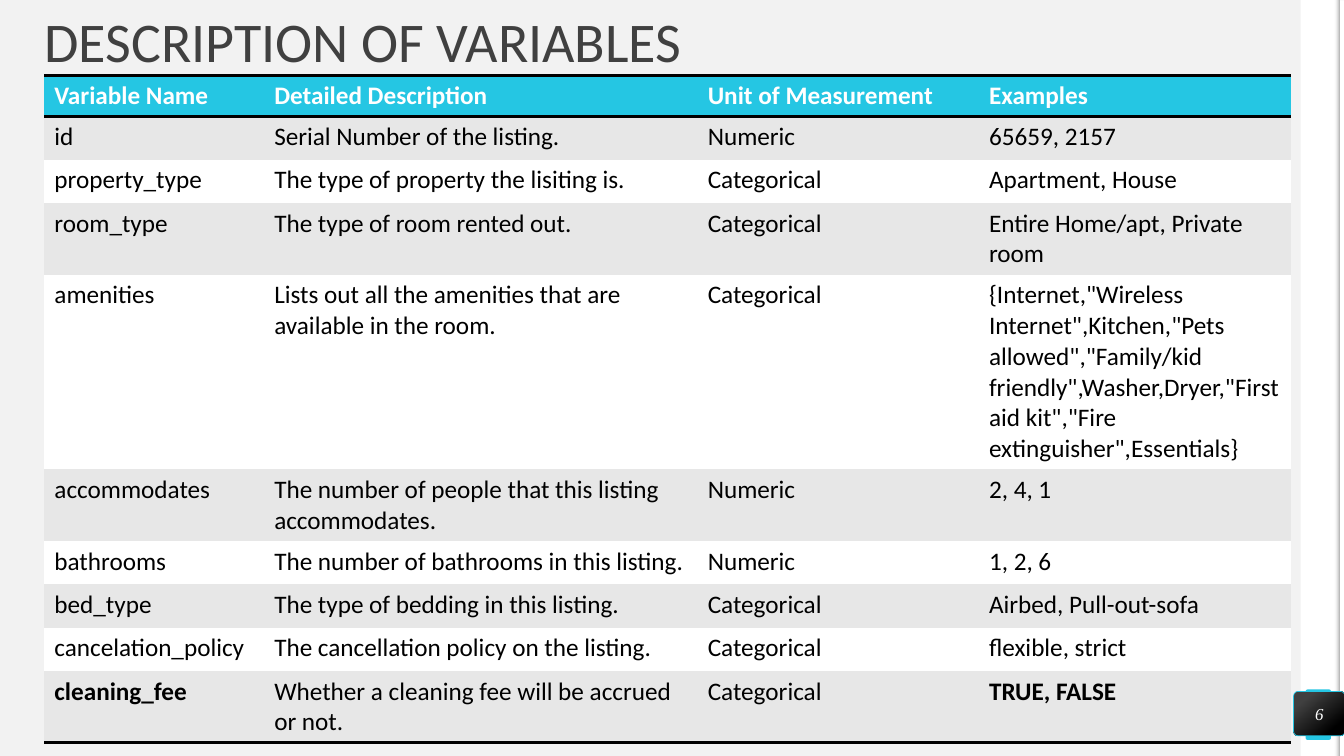
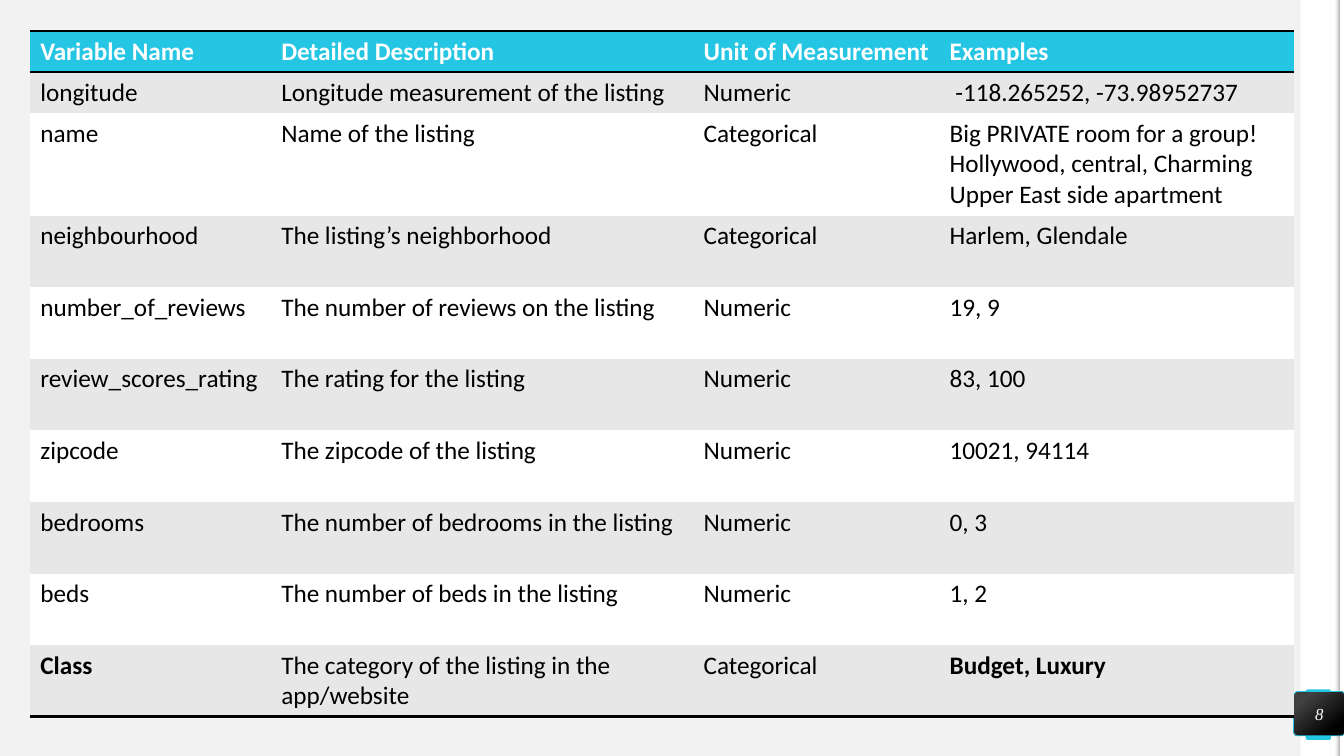
from dataclasses import dataclass

from lxml.etree import SubElement
from pptx import Presentation
from pptx.dml.color import RGBColor
from pptx.enum.shapes import MSO_SHAPE
from pptx.enum.text import MSO_ANCHOR, MSO_AUTO_SIZE, PP_ALIGN
from pptx.oxml import parse_xml
from pptx.oxml.ns import nsdecls, qn
from pptx.util import Pt

EMU_PER_PX = 9144  # 100 px to the inch
SLIDE_SIZE = (1333, 750)
TITLE_ONLY, BLANK = 5, 6
NO_STYLE_TABLE = "{2D5ABB26-0587-4C30-8999-92F81FD0307C}"


@dataclass(frozen=True)
class Theme:
    background: str = "F2F2F2"
    accent: str = "25C6E3"
    white: str = "FFFFFF"
    black: str = "000000"
    dark: str = "404040"
    edge: str = "A6A6A6"
    row_fills: tuple = ("E7E7E7", "FFFFFF")
    font: str = "Calibri"
    number_font: str = "Times New Roman"
    title_size: int = 40
    table_size: int = 18
    number_size: int = 12
    rule_width: int = 2


THEME = Theme()

HEADERS = ("Variable Name", "Detailed Description", "Unit of Measurement", "Examples")

LISTING_VARIABLES = [
    ("id", "Serial Number of the listing.", "Numeric", "65659, 2157"),
    ("property_type", "The type of property the lisiting is.", "Categorical", "Apartment, House"),
    ("room_type", "The type of room rented out.", "Categorical", "Entire Home/apt, Private room"),
    ("amenities", "Lists out all the amenities that are available in the room.", "Categorical",
     '{Internet,"Wireless Internet",Kitchen,"Pets allowed","Family/kid friendly",'
     'Washer,Dryer,"First aid kit","Fire extinguisher",Essentials}'),
    ("accommodates", "The number of people that this listing accommodates.", "Numeric", "2, 4, 1"),
    ("bathrooms", "The number of bathrooms in this listing.", "Numeric", "1, 2, 6"),
    ("bed_type", "The type of bedding in this listing.", "Categorical", "Airbed, Pull-out-sofa"),
    ("cancelation_policy", "The cancellation policy on the listing.", "Categorical",
     "flexible, strict"),
    ("cleaning_fee", "Whether a cleaning fee will be accrued or not.", "Categorical",
     "TRUE, FALSE"),
]

LOCATION_AND_CLASS_VARIABLES = [
    ("longitude", "Longitude measurement of the listing", "Numeric",
     " -118.265252, -73.98952737"),
    ("name", "Name of the listing", "Categorical",
     "Big PRIVATE room for a group! Hollywood, central, Charming Upper East side apartment"),
    ("neighbourhood", "The listing’s neighborhood", "Categorical", "Harlem, Glendale"),
    ("number_of_reviews", "The number of reviews on the listing", "Numeric", "19, 9"),
    ("review_scores_rating", "The rating for the listing", "Numeric", "83, 100"),
    ("zipcode", "The zipcode of the listing", "Numeric", "10021, 94114"),
    ("bedrooms", "The number of bedrooms in the listing", "Numeric", "0, 3"),
    ("beds", "The number of beds in the listing", "Numeric", "1, 2"),
    ("Class", "The category of the listing in the app/website", "Categorical", "Budget, Luxury"),
]


def px(*lengths):
    return [length * EMU_PER_PX for length in lengths]


def color(code):
    return RGBColor.from_string(code)


def format_font(paragraph, name, size, code, bold=False, italic=False):
    for run in paragraph.runs:
        font = run.font
        font.name, font.size = name, Pt(size)
        font.bold, font.italic = bold, italic
        font.color.rgb = color(code)


def clear_margins(text_frame):
    text_frame.margin_left = text_frame.margin_right = 0
    text_frame.margin_top = text_frame.margin_bottom = 0


def add_block(slide, box, fill=None, corner=None):
    """Add a flat rectangle without outline, rounded when corner is given."""
    kind = MSO_SHAPE.RECTANGLE if corner is None else MSO_SHAPE.ROUNDED_RECTANGLE
    shape = slide.shapes.add_shape(kind, *px(*box))
    shape.shadow.inherit = False
    shape.line.fill.background()
    if corner is not None:
        shape.adjustments[0] = corner
    if fill:
        shape.fill.solid()
        shape.fill.fore_color.rgb = color(fill)
    return shape


def set_gradient(shape, stops, angle):
    """Fill with (position, color) stops; the angle runs counter-clockwise."""
    shape.fill.gradient()
    shape.fill.gradient_angle = angle
    for stop, (position, code) in zip(shape.fill.gradient_stops, stops):
        stop.position = position
        stop.color.rgb = color(code)


def move_to_master(shape, master):
    shape.element.nvSpPr.cNvPr.set("id", str(len(master.shapes) + 2))
    master.shapes.element.append(shape.element)


def decorate_master(master, slide):
    """Give every slide its background and right-hand band, drawn first on a slide."""
    master.background.fill.solid()
    master.background.fill.fore_color.rgb = color(THEME.background)

    band = add_block(slide, (1290, 0, 39, 750), THEME.white)
    tab = add_block(slide, (1295, 684, 25, 50), THEME.accent, corner=0.07)
    margin = add_block(slide, (956, 373, 750, 5), THEME.white)
    shade = add_block(slide, (951, 373, 750, 5))
    margin.rotation = shade.rotation = 90
    set_gradient(shade, [(0, THEME.background), (1, THEME.edge)], 90)
    clear_stop = shade.element.find(".//" + qn("a:srgbClr"))
    SubElement(clear_stop, qn("a:alpha"), val="0")

    for shape in (band, tab, margin, shade):
        move_to_master(shape, master)


def set_title(slide, text):
    title = slide.shapes.title
    title.left, title.top, title.width, title.height = px(44, 21, 1239, 47)
    text_frame = title.text_frame
    text_frame.text = text
    text_frame.auto_size = MSO_AUTO_SIZE.NONE
    text_frame.vertical_anchor = MSO_ANCHOR.MIDDLE
    clear_margins(text_frame)
    paragraph = text_frame.paragraphs[0]
    paragraph.alignment = PP_ALIGN.LEFT
    paragraph.line_spacing = 0.9
    format_font(paragraph, THEME.font, THEME.title_size, THEME.dark)


def add_number_badge(slide, number):
    badge = add_block(slide, (1283, 686, 51, 44), corner=0.1)
    set_gradient(badge, [(0.2, THEME.dark), (0.82, THEME.black)], 310)
    badge.line.color.rgb = color(THEME.accent)
    badge.line.width = Pt(0.5)
    text_frame = badge.text_frame
    text_frame.text = str(number)
    text_frame.vertical_anchor = MSO_ANCHOR.MIDDLE
    clear_margins(text_frame)
    paragraph = text_frame.paragraphs[0]
    paragraph.alignment = PP_ALIGN.CENTER
    format_font(paragraph, THEME.number_font, THEME.number_size, THEME.white, italic=True)


def add_cell_rules(cell, sides):
    """Draw rules on the given sides, "T" before "B"."""
    properties = cell._tc.get_or_add_tcPr()
    for index, side in enumerate(sides):
        properties.insert(index, parse_xml(
            f'<a:ln{side} {nsdecls("a")} w="{Pt(THEME.rule_width)}"><a:solidFill>'
            f'<a:srgbClr val="{THEME.black}"/></a:solidFill></a:ln{side}>'))


def format_cell(cell, text, fill, text_color, bold, sides):
    cell.text_frame.text = text
    format_font(cell.text_frame.paragraphs[0], THEME.font, THEME.table_size, text_color, bold)
    cell.fill.solid()
    cell.fill.fore_color.rgb = color(fill)
    add_cell_rules(cell, sides)


def add_variable_table(slide, left, top, column_widths, row_heights, variables):
    """Add a banded table whose last variable, the key one, is in bold."""
    rows = [HEADERS, *variables]
    frame = slide.shapes.add_table(
        len(rows), len(HEADERS), *px(left, top, sum(column_widths), sum(row_heights)))
    frame.element.find(".//" + qn("a:tableStyleId")).text = NO_STYLE_TABLE
    table = frame.table
    for column, width in zip(table.columns, px(*column_widths)):
        column.width = width
    for row, height in zip(table.rows, px(*row_heights)):
        row.height = height

    last_row = len(rows) - 1
    for row_index, texts in enumerate(rows):
        is_header, is_last = row_index == 0, row_index == last_row
        fill = THEME.accent if is_header else THEME.row_fills[(row_index - 1) % 2]
        text_color = THEME.white if is_header else THEME.black
        sides = "TB" if is_header else "B" if is_last else ""
        for column_index, text in enumerate(texts):
            is_key = is_last and column_index in (0, len(HEADERS) - 1)
            format_cell(table.cell(row_index, column_index), text, fill, text_color,
                        is_header or is_key, sides)


def main():
    presentation = Presentation()
    presentation.slide_width, presentation.slide_height = px(*SLIDE_SIZE)
    layouts = presentation.slide_layouts

    slide = presentation.slides.add_slide(layouts[TITLE_ONLY])
    decorate_master(presentation.slide_master, slide)
    set_title(slide, "DESCRIPTION OF VARIABLES")
    add_number_badge(slide, 6)
    add_variable_table(slide, 44, 75, (218, 430, 279, 309), [40] + [43] * 9,
                       LISTING_VARIABLES)

    slide = presentation.slides.add_slide(layouts[BLANK])
    add_number_badge(slide, 8)
    add_variable_table(slide, 30, 31, (239, 419, 244, 351), [40, 40, 102] + [71] * 7,
                       LOCATION_AND_CLASS_VARIABLES)

    presentation.save("out.pptx")


if __name__ == "__main__":
    main()
